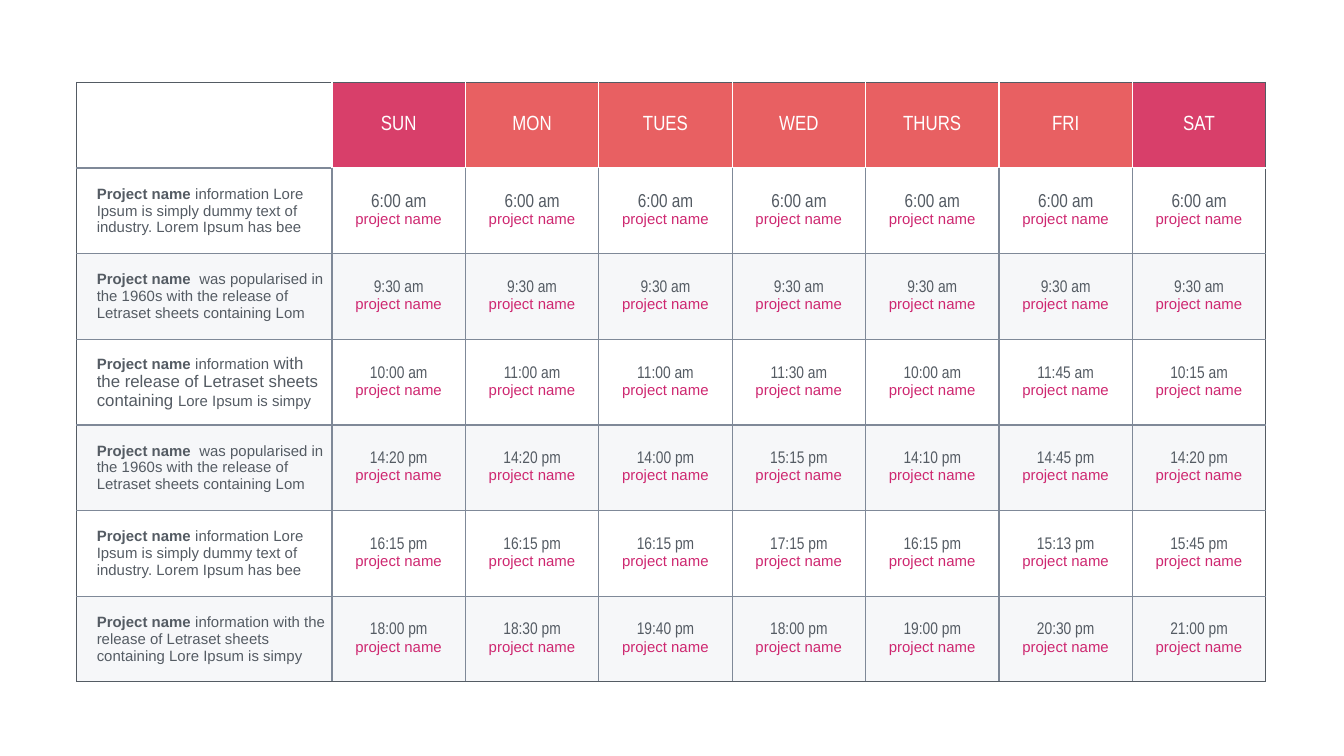
"""Build a weekly project timetable slide."""
from lxml.etree import SubElement as Sub
from pptx import Presentation
from pptx.dml.color import RGBColor as RGB
from pptx.enum.text import MSO_ANCHOR as Anchor, PP_ALIGN as Align
from pptx.oxml.ns import qn
from pptx.util import Inches, Pt

HUES = {"dark": "545B63", "grey": "7F8998", "white": "FFFFFF", "rose": "D83F6A",
        "coral": "E86062", "pink": "CE2770", "band": "EEF0F4"}
DAYS = ["SUN", "MON", "TUES", "WED", "THURS", "FRI", "SAT"]
LOREM = [("information Lore Ipsum is simply dummy text of industry. Lorem Ipsum has bee", 8)]
SIXTY = [(" was popularised in the 1960s with the release of Letraset sheets containing Lom", 8)]
MIXED = [("information ", 8), ("with the release of Letraset sheets containing ", 9),
         ("Lore Ipsum is simpy", 8)]
LAST = [("information with the release of Letraset sheets containing Lore Ipsum is simpy", 8)]
ROWS = [
    (LOREM, "am", ["6:00"] * 7),
    (SIXTY, "am", ["9:30"] * 7),
    (MIXED, "am", ["10:00", "11:00", "11:00", "11:30", "10:00", "11:45", "10:15"]),
    (SIXTY, "pm", ["14:20", "14:20", "14:00", "15:15", "14:10", "14:45", "14:20"]),
    (LOREM, "pm", ["16:15", "16:15", "16:15", "17:15", "16:15", "15:13", "15:45"]),
    (LAST, "pm", ["18:00", "18:30", "19:40", "18:00", "19:00", "20:30", "21:00"]),
]
END, FOOT = len(DAYS), len(ROWS)


def style(par, size, hue, face="Arial", align=Align.CENTER):
    par.alignment = align
    par.font.size, par.font.name = Pt(size), face
    par.font.color.rgb = RGB.from_string(HUES[hue])


def edge(cell, side, hue):
    line = Sub(cell._tc.get_or_add_tcPr(), qn(f"a:ln{side}"), w=str(Pt(0.75)))
    Sub(Sub(line, qn("a:solidFill")), qn("a:srgbClr"), val=HUES[hue])


deck = Presentation()
deck.slide_width = Inches(10)
deck.slide_height = deck.slide_width * 9 // 16
slide = deck.slides.add_slide(deck.slide_layouts[6])

wide, first = Inches(8.85), Inches(1.9)
grid = slide.shapes.add_table(FOOT + 1, END + 1, Inches(0.57), Pt(44.2),
                              wide, Inches(4.46)).table
grid.first_row = grid.horz_banding = False
for c, col in enumerate(grid.columns):
    col.width = first if c == 0 else (wide - first) // END

for r in range(FOOT + 1):
    for c in range(END + 1):
        cell = grid.cell(r, c)
        cell.vertical_anchor = Anchor.MIDDLE
        cell.margin_left = Inches(0.15 if c == 0 and r else 0.04)
        cell.margin_right = Inches(0.04)
        cell.margin_top = cell.margin_bottom = Inches(0.02)

        inner = "grey" if r else "white"
        edge(cell, "L", inner if c else "dark")
        edge(cell, "R", "dark" if c == END else inner)
        edge(cell, "T", "dark" if r == 0 else "white" if r == 1 and c else "grey")
        edge(cell, "B", "dark" if r == FOOT else "white" if r == 0 and c else "grey")

        if r == 0 and c:
            cell.fill.solid()
            hue = "rose" if c in (1, END) else "coral"
            cell.fill.fore_color.rgb = RGB.from_string(HUES[hue])
        elif r and r % 2 == 0:
            cell.fill.solid()
            cell.fill.fore_color.rgb = RGB.from_string(HUES["band"])
            tint = cell._tc.tcPr.find(qn("a:solidFill")).find(qn("a:srgbClr"))
            Sub(tint, qn("a:alpha"), val="50000")
        else:
            cell.fill.background()

        par = cell.text_frame.paragraphs[0]
        if r == 0 and c:
            par.text = DAYS[c - 1]
            style(par, 11, "white", "Arial Narrow")
        elif r and c == 0:
            style(par, 8, "dark", align=Align.LEFT)
            head = par.add_run()
            head.text, head.font.bold = "Project name ", True
            for text, size in ROWS[r - 1][0]:
                run = par.add_run()
                run.text, run.font.size = text, Pt(size)
        elif r:
            half, times = ROWS[r - 1][1:]
            par.text = f"{times[c - 1]} {half}"
            style(par, 10 if r == 1 else 9, "dark", "Arial Narrow")
            sub = cell.text_frame.add_paragraph()
            sub.text = "project name"
            style(sub, 8, "pink")

deck.save("out.pptx")
